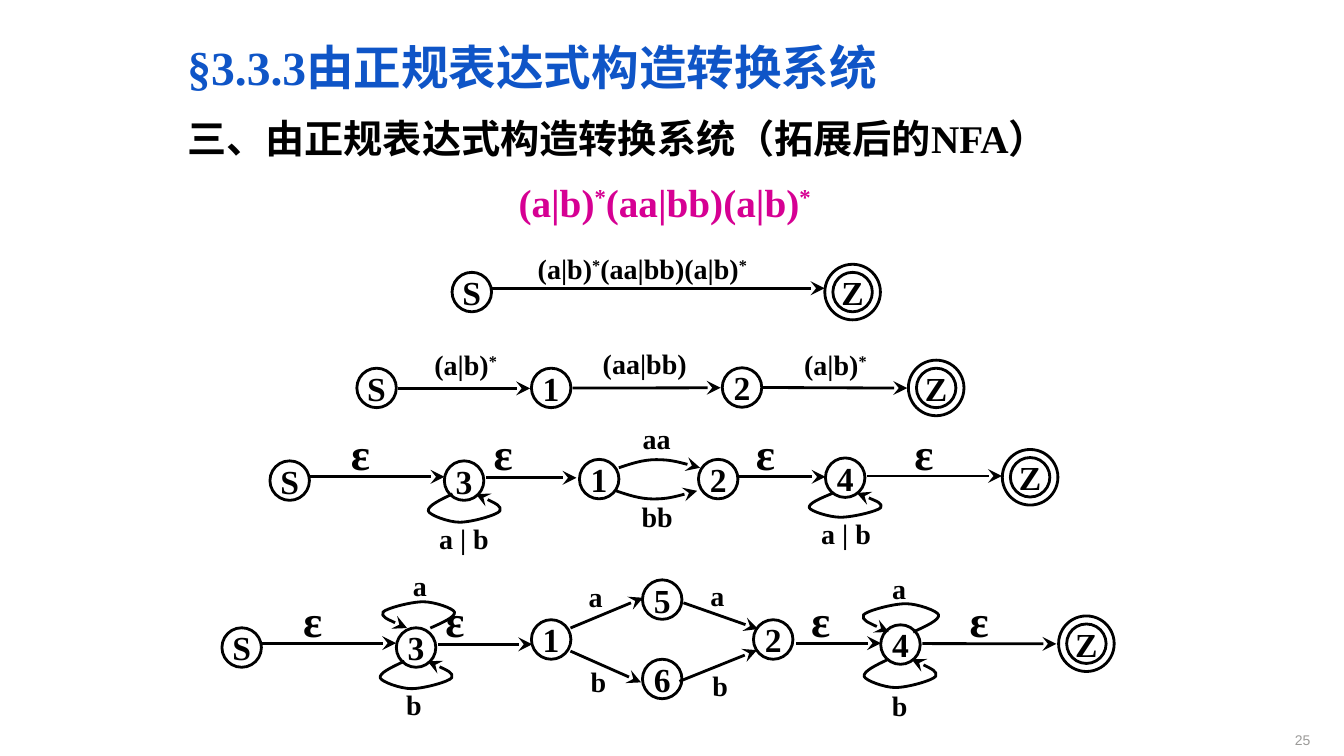
from dataclasses import dataclass

import pptx
import pptx.dml.color
import pptx.enum.shapes
import pptx.enum.text
import pptx.oxml
import pptx.oxml.ns
import pptx.util
from pptx.util import Pt

SERIF = "Times New Roman"
BLACK = "000000"
STATE_SIZE = 28.2
FINAL_RING = 39.7

# Control points of chained cubic curves, relative to their start.
LOOP = [(0, 0), (-9, 4.3), (-18, 8.6), (-17.3, 12.2), (-16.6, 15.1), (-2.9, 20.2), (5, 20.2),
        (13.7, 20.2), (31.7, 15.1), (33.8, 12.2), (35.3, 8.6), (25.9, 4.3), (16.6, 0)]
ARC = [(0, 0), (8.6, 2.9), (17.3, 5.8), (26.6, 5.8), (36.7, 5.8), (47.5, 2.9), (58, 0)]


@dataclass
class State:
    name: str
    x: float
    y: float


@dataclass
class Arrow:
    x1: float
    y1: float
    x2: float
    y2: float


@dataclass
class Curve:
    points: list[tuple[float, float]]
    x: float
    y: float
    scale_x: float = 1
    scale_y: float = 1


@dataclass
class Label:
    text: str
    left: float
    top: float
    width: float = 65
    size: float = 20


def epsilons(top: float, *lefts: float) -> list[Label]:
    return [Label("ε", left, top, 50, 32) for left in lefts]


STATES = [
    State("S", 337, 208.6), State("Z", 609, 208.6),
    State("S", 269, 277.1), State("1", 393.7, 277.1), State("2", 530, 276.8),
    State("Z", 668.7, 277.1),
    State("S", 206.9, 343.3), State("3", 331.5, 343.3), State("1", 428, 342.2),
    State("2", 513, 342.2), State("4", 603.7, 341.2), State("Z", 735.8, 340.9),
    State("S", 172.6, 462.5), State("3", 297.2, 462.5), State("1", 393.7, 456.8),
    State("5", 473, 428.3), State("6", 473, 485), State("2", 552.3, 456.8),
    State("4", 643.2, 460.4), State("Z", 776, 459.8),
]
ARROWS = [
    Arrow(351.4, 205.9, 589, 205.9),
    Arrow(284.4, 277.4, 378.7, 277.4), Arrow(409, 277.2, 514.8, 277),
    Arrow(545, 276.8, 648, 277.2),
    Arrow(221, 340.6, 317.5, 340.6), Arrow(347, 341.3, 411.8, 341.3),
    Arrow(527, 340.6, 589.7, 340.6), Arrow(619.2, 340, 715.7, 340),
    Arrow(186.5, 459.4, 283, 459.4), Arrow(313.2, 460.2, 380.2, 460.2),
    Arrow(568.8, 459.4, 629.3, 459.4), Arrow(658.8, 459.7, 754.6, 459.9),
    Arrow(407.5, 448.6, 459.4, 427), Arrow(488.2, 430.6, 541.4, 449.3),
    Arrow(407.5, 465.1, 457.9, 487.4), Arrow(485.3, 486.7, 540.7, 464.4),
]
CURVES = [
    Curve(ARC, 442.1, 334.1, 1, -1), Curve(ARC, 440, 350.6),
    Curve(LOOP, 323.3, 352.8), Curve(LOOP, 595.4, 352.1, 1, 0.86),
    Curve(LOOP, 288.9, 472.3, 1, 0.97), Curve(LOOP, 634.6, 470.9),
    Curve(LOOP, 307.4, 448.6, -1, -0.93), Curve(LOOP, 652.3, 451.4, -1.05, -1),
]
LABELS = [
    Label("(a|b)*(aa|bb)(a|b)*", 377, 176.4, 200),
    Label("(a|b)*", 303.2, 244.8), Label("(aa|bb)", 423.4, 244.1, 90),
    Label("(a|b)*", 567.3, 244.8),
    Label("aa", 452, 297.4), Label("bb", 451.2, 353.5),
    Label("a | b", 306.5, 369.2), Label("a | b", 579.5, 365.6),
    *epsilons(300.6, 243.6, 345.6, 532.8, 646),
    Label("a", 287.8, 402.2), Label("b", 283, 487.4),
    Label("a", 413.3, 410.4), Label("b", 414.7, 470.9),
    Label("a", 500.4, 409.7), Label("b", 501.8, 473.6),
    Label("a", 630.2, 404.6), Label("b", 630, 488.2),
    *epsilons(419.8, 209.5, 311, 572.4, 685.6),
]


def rgb(value: str) -> pptx.dml.color.RGBColor:
    return pptx.dml.color.RGBColor.from_string(value)


def write(shape, text: str, *, size: float, color: str = BLACK, font: str = SERIF,
          bold: bool = True, align: str = "LEFT", anchor: str = "TOP", wrap: bool = True,
          inset: tuple[float, float] = (7.2, 3.6), spacing: float = 1) -> None:
    """Fill the shape with one paragraph; each * becomes a superscript."""
    frame = shape.text_frame
    frame.word_wrap = wrap
    frame.auto_size = pptx.enum.text.MSO_AUTO_SIZE.NONE
    frame.vertical_anchor = getattr(pptx.enum.text.MSO_ANCHOR, anchor)
    frame.margin_left = frame.margin_right = Pt(inset[0])
    frame.margin_top = frame.margin_bottom = Pt(inset[1])
    para = frame.paragraphs[0]
    para.alignment = getattr(pptx.enum.text.PP_ALIGN, align)
    para.line_spacing = spacing
    para.space_before = Pt(0)
    for piece in text.replace("*", "\n*\n").split("\n"):
        if not piece:
            continue
        span = para.add_run()
        span.text = piece
        span.font.name = font
        span.font.size = Pt(size)
        span.font.bold = bold
        span.font.color.rgb = rgb(color)
        if piece == "*":
            span._r.get_or_add_rPr().set("baseline", "30000")


def add_text(page, text: str, left: float, top: float, width: float, height: float,
             **style) -> None:
    box = page.shapes.add_textbox(Pt(left), Pt(top), Pt(width), Pt(height))
    write(box, text, **style)


def element(tag: str, **attributes: str):
    node = pptx.oxml.parse_xml(f'<a:{tag} {pptx.oxml.ns.nsdecls("a")}/>')
    for key, value in attributes.items():
        node.set(key, value)
    return node


def outline(shape) -> None:
    shape.line.color.rgb = rgb(BLACK)
    shape.line.width = Pt(2)


def add_arrowhead(shape) -> None:
    shape.line._get_or_add_ln().append(element("tailEnd", type="stealth", w="lg", len="lg"))


def add_circle(page, state: State, size: float):
    circle = page.shapes.add_shape(pptx.enum.shapes.MSO_SHAPE.OVAL, Pt(state.x - size / 2),
                                   Pt(state.y - size / 2), Pt(size), Pt(size))
    circle.shadow.inherit = False
    circle.fill.background()
    outline(circle)
    return circle


def add_state(page, state: State) -> None:
    if state.name == "Z":
        add_circle(page, state, FINAL_RING)
    write(add_circle(page, state, STATE_SIZE), state.name, size=24, align="CENTER",
          anchor="MIDDLE", wrap=False)


def add_arrow(page, arrow: Arrow) -> None:
    line = page.shapes.add_connector(pptx.enum.shapes.MSO_CONNECTOR.STRAIGHT, Pt(arrow.x1),
                                     Pt(arrow.y1), Pt(arrow.x2), Pt(arrow.y2))
    outline(line)
    add_arrowhead(line)
    line._element.spPr.append(element("effectLst"))


def bend(shape) -> None:
    """Turn every three straight segments into one cubic curve."""
    segments = list(shape._element.iter(pptx.oxml.ns.qn("a:lnTo")))
    for start in range(0, len(segments), 3):
        cubic = element("cubicBezTo")
        segments[start].addprevious(cubic)
        for segment in segments[start:start + 3]:
            cubic.append(segment[0])
            segment.getparent().remove(segment)


def add_curve(page, curve: Curve) -> None:
    start, *controls = [(Pt(curve.x + curve.scale_x * x), Pt(curve.y + curve.scale_y * y))
                        for x, y in curve.points]
    builder = page.shapes.build_freeform(*start)
    builder.add_line_segments(controls, close=False)
    shape = builder.convert_to_shape()
    bend(shape)
    shape.shadow.inherit = False
    shape.fill.background()
    outline(shape)
    add_arrowhead(shape)


def main() -> None:
    deck = pptx.Presentation()
    deck.slide_width, deck.slide_height = Pt(960), Pt(540)
    page = deck.slides.add_slide(deck.slide_layouts[5])

    title = page.shapes.title
    title.left, title.top, title.width, title.height = Pt(126.7), Pt(15.1), Pt(696), Pt(62)
    write(title, "§3.3.3由正规表达式构造转换系统", size=34, color="0F55C7", spacing=1.2)
    add_text(page, "三、由正规表达式构造转换系统（拓展后的NFA）", 126.7, 71.3, 696, 116.6,
             size=28, spacing=1.2)
    add_text(page, "(a|b)*(aa|bb)(a|b)*", 363.3, 123.8, 239, 41, size=28, color="D60093")

    for state in STATES:
        add_state(page, state)
    for arrow in ARROWS:
        add_arrow(page, arrow)
    for curve in CURVES:
        add_curve(page, curve)
    for label in LABELS:
        add_text(page, label.text, label.left, label.top, label.width, label.size * 1.2 + 7.2,
                 size=label.size)

    add_text(page, "25", 856, 505.4, 80, 28.8, size=10, color="9B9A98", font="Arial",
             bold=False, align="RIGHT", anchor="BOTTOM", inset=(0, 0))
    deck.save("out.pptx")


if __name__ == "__main__":
    main()
